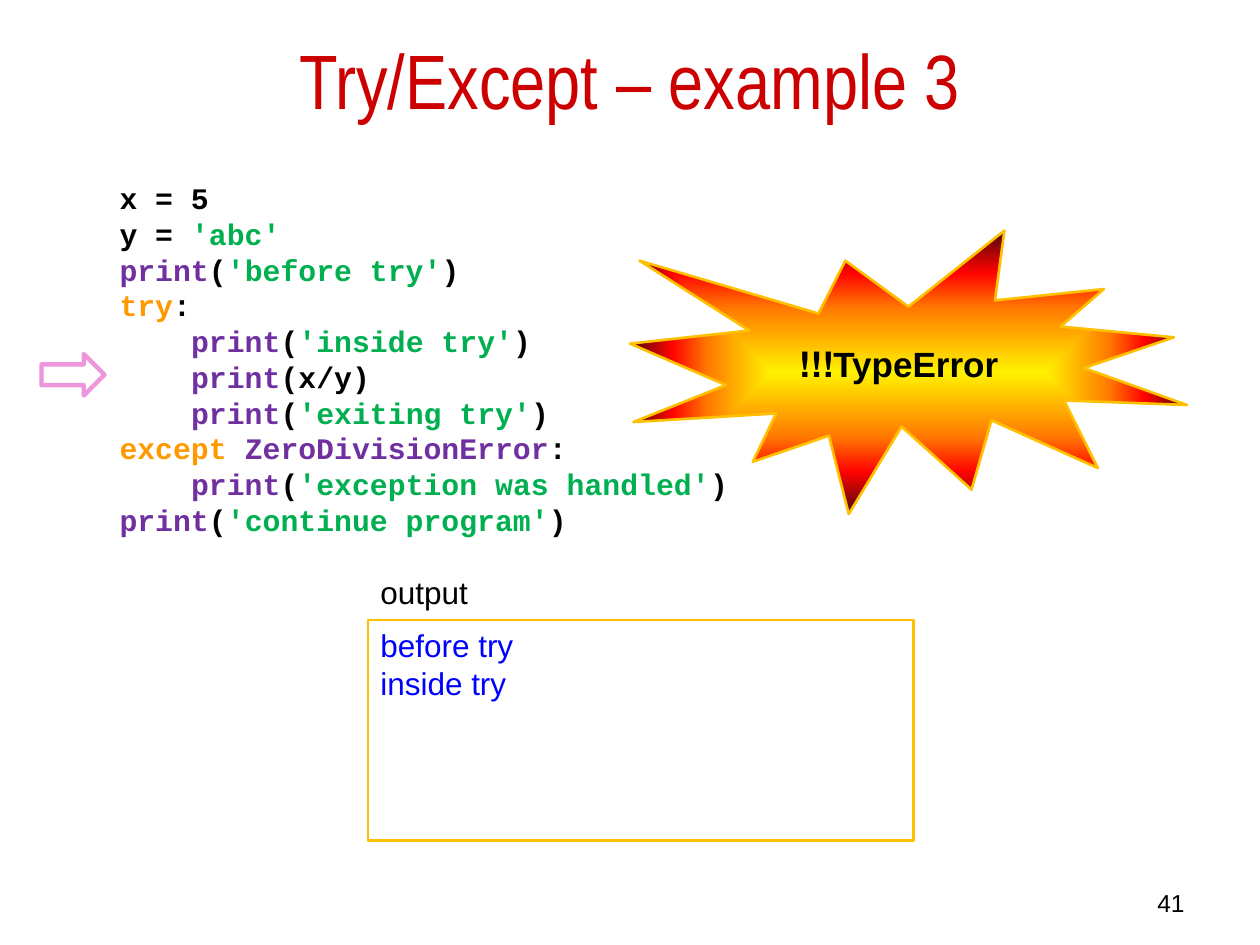
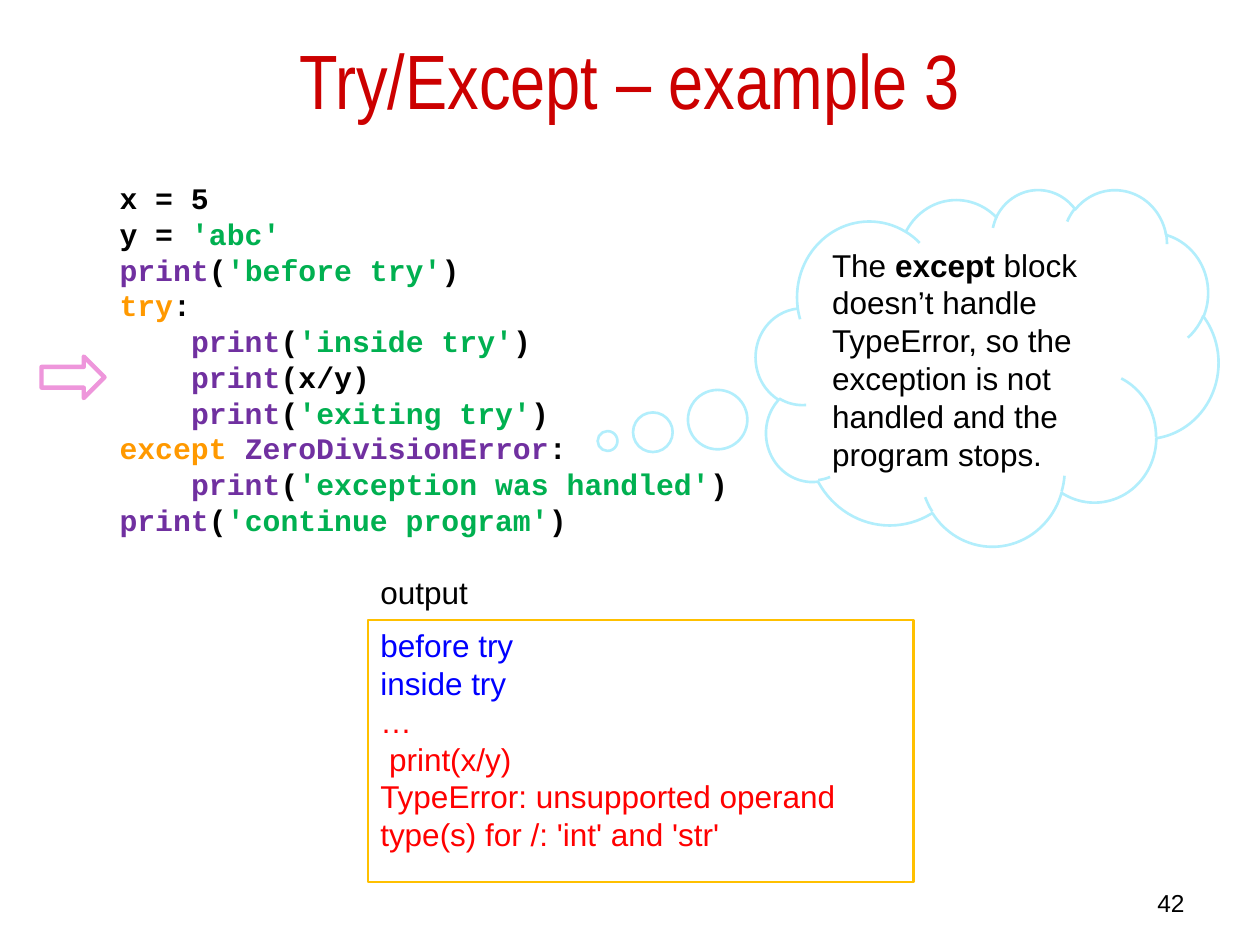
from dataclasses import dataclass

from lxml import etree
from pptx import Presentation
from pptx.dml.color import RGBColor
from pptx.enum.shapes import MSO_SHAPE as Shape
from pptx.enum.text import MSO_ANCHOR as Anchor, MSO_AUTO_SIZE as AutoSize, PP_ALIGN as Align
from pptx.oxml.ns import qn
from pptx.util import Inches, Pt


@dataclass(frozen=True)
class Theme:
    black: str = "000000"
    title: str = "CC0000"
    keyword: str = "FF9900"
    builtin: str = "7030A0"
    string: str = "00B050"
    printed: str = "0000FF"
    error: str = "FF0000"
    arrow: str = "EE96DB"
    frame: str = "FFC000"
    cloud: str = "B2EEFC"
    blast: tuple = ((0, "FFF200"), (45, "FF7A00"), (70, "FF0300"), (100, "4D0808"))
    body_font: str = "Arial"
    title_font: str = "Arial Narrow"
    code_font: str = "Courier New"
    title_size: int = 44
    blast_size: int = 20
    body_size: int = 18
    code_size: int = 17
    number_size: int = 14


THEME = Theme()
INDENT = ("    ", THEME.black)


def print_line(text):
    return [("print", THEME.builtin), ("(", THEME.black),
            (f"'{text}'", THEME.string), (")", THEME.black)]


CODE = [
    [("x = 5", THEME.black)],
    [("y = ", THEME.black), ("'abc'", THEME.string)],
    print_line("before try"),
    [("try", THEME.keyword), (":", THEME.black)],
    [INDENT, *print_line("inside try")],
    [INDENT, ("print", THEME.builtin), ("(x/y)", THEME.black)],
    [INDENT, *print_line("exiting try")],
    [("except ", THEME.keyword), ("ZeroDivisionError", THEME.builtin), (":", THEME.black)],
    [INDENT, *print_line("exception was handled")],
    print_line("continue program"),
]
PRINTED = [[(text, THEME.printed)] for text in ("before try", "inside try")]
TRACEBACK = [[(text, THEME.error)] for text in (
    "…", " print(x/y)", "TypeError: unsupported operand type(s) for /: 'int' and 'str'")]


def color(value):
    return RGBColor.from_string(value)


def write(box, lines, size=THEME.body_size, font=THEME.body_font, bold=False,
          align=Align.LEFT, anchor=Anchor.TOP, wrap=True):
    """Fill a box with lines, each a list of (text, colour) spans."""
    frame = box.text_frame
    frame.word_wrap = wrap
    frame.vertical_anchor = anchor
    for index, spans in enumerate(lines):
        para = frame.add_paragraph() if index else frame.paragraphs[0]
        para.alignment = align
        para.font.name, para.font.size, para.font.bold = font, Pt(size), bold
        for text, ink in spans:
            span = para.add_run()
            span.text = text
            span.font.color.rgb = color(ink)


def add_text(shapes, place, lines, **style):
    box = shapes.add_textbox(*map(Inches, place))
    write(box, lines, **style)
    return box


def add_outline(shapes, kind, place, line_color, line_width=1.5):
    shape = shapes.add_shape(kind, *map(Inches, place))
    shape.shadow.inherit = False
    shape.fill.background()
    shape.line.color.rgb = color(line_color)
    shape.line.width = Pt(line_width)
    return shape


def fill_from_center(shape, stops):
    """Give a shape a rectangular gradient that starts in its middle."""
    shape.fill.gradient()
    gradient = shape.element.spPr.find(qn("a:gradFill"))
    for child in list(gradient):
        gradient.remove(child)
    stop_list = etree.SubElement(gradient, qn("a:gsLst"))
    for percent, value in stops:
        stop = etree.SubElement(stop_list, qn("a:gs"), pos=str(percent * 1000))
        etree.SubElement(stop, qn("a:srgbClr"), val=value)
    spread = etree.SubElement(gradient, qn("a:path"), path="rect")
    etree.SubElement(spread, qn("a:fillToRect"), l="50000", t="50000", r="50000", b="50000")


def add_blast(page):
    shapes = page.shapes.add_group_shape().shapes
    seal = add_outline(shapes, Shape.EXPLOSION1, (5, 1.83, 4.42, 2.25), THEME.frame)
    fill_from_center(seal, THEME.blast)
    label = add_text(shapes, (5.67, 2.67, 2.92, 0.74), [[("TypeError!!!", THEME.black)]],
                     size=THEME.blast_size, bold=True, align=Align.CENTER)
    label.text_frame.paragraphs[0]._p.get_or_add_pPr().set("rtl", "1")


def add_thought(page):
    cloud = add_outline(page.shapes, Shape.CLOUD_CALLOUT, (6, 1.5, 3.67, 2.83), THEME.cloud)
    cloud.adjustments[0], cloud.adjustments[1] = -0.821, 0.207
    texts = ("The ", "except",
             " block doesn’t handle TypeError, so the exception is not handled"
             " and the program stops.")
    write(cloud, [[(text, THEME.black) for text in texts]], anchor=Anchor.MIDDLE)
    cloud.text_frame.paragraphs[0].runs[1].font.bold = True


def add_page(deck, number, arrow_top, output, output_height, add_remark):
    page = deck.slides.add_slide(deck.slide_layouts[6])
    shapes = page.shapes
    add_text(shapes, (0.5, 0, 9, 1.25), [[("Try/Except – example 3", THEME.title)]],
             size=THEME.title_size, font=THEME.title_font,
             align=Align.CENTER, anchor=Anchor.MIDDLE)
    add_text(shapes, (7.17, 7, 2.33, 0.25), [[(str(number), THEME.black)]],
             size=THEME.number_size, align=Align.RIGHT)
    add_outline(shapes, Shape.RIGHT_ARROW, (0.33, arrow_top, 0.5, 0.33), THEME.arrow, 2.5)
    screen = add_outline(shapes, Shape.RECTANGLE, (2.92, 4.92, 4.33, output_height), THEME.frame)
    write(screen, output)
    add_text(shapes, (2.92, 4.5, 1.42, 0.42), [[("output", THEME.black)]])
    add_remark(page)
    code = add_text(shapes, (0.85, 1.38, 5.09, 2.96), CODE, size=THEME.code_size,
                    font=THEME.code_font, bold=True, wrap=False)
    code.text_frame.auto_size = AutoSize.SHAPE_TO_FIT_TEXT


def main():
    deck = Presentation()
    deck.slide_width, deck.slide_height = Inches(10), Inches(7.5)
    add_page(deck, 41, 2.81, PRINTED, 1.75, add_blast)
    add_page(deck, 42, 2.83, PRINTED + TRACEBACK, 2.08, add_thought)
    deck.save("out.pptx")


if __name__ == "__main__":
    main()
